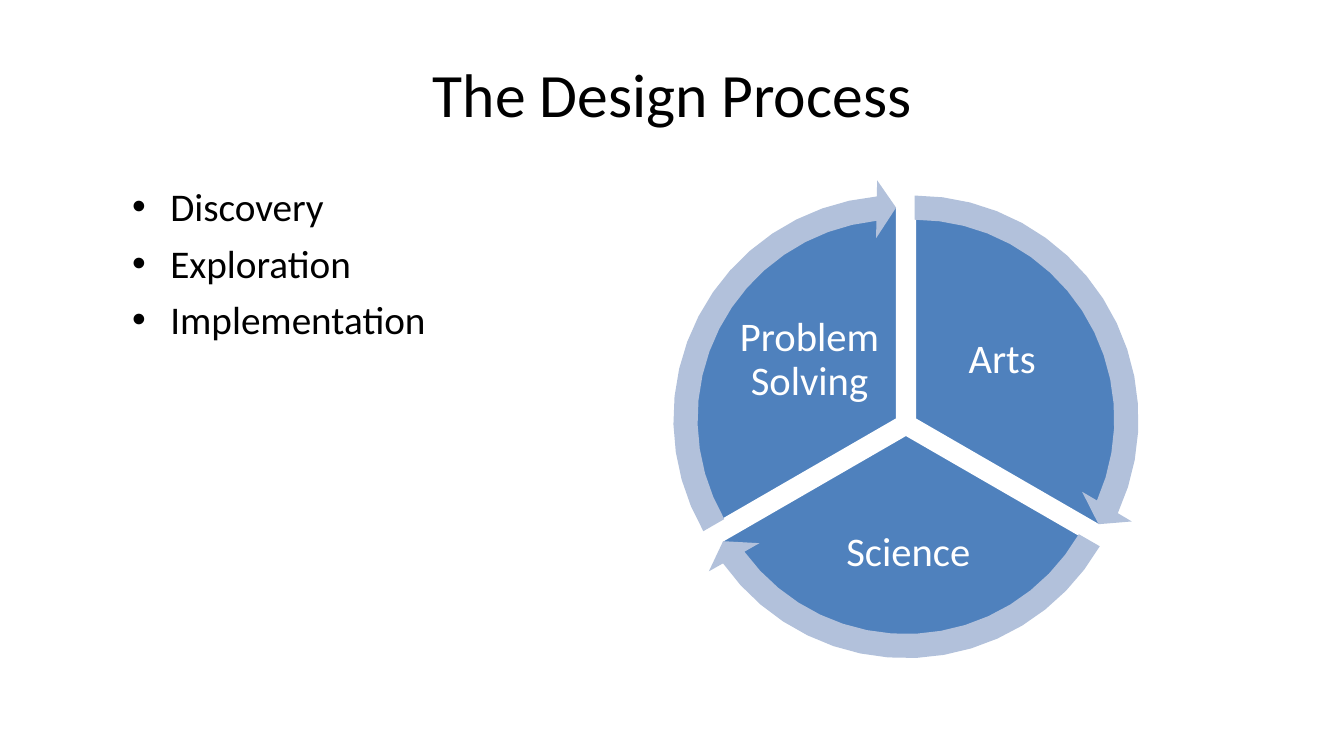
from math import cos, radians, sin

from lxml.etree import SubElement
from pptx import Presentation
from pptx.dml.color import RGBColor
from pptx.enum.text import MSO_ANCHOR, PP_ALIGN as Align
from pptx.oxml.ns import qn
from pptx.util import Inches, Pt


def color(code):
    return RGBColor.from_string(code)


def polar(mid, size, angle):
    turn = radians(angle)
    return mid[0] + size * cos(turn), mid[1] + size * sin(turn)


def arc(mid, size, start, end, steps=16):
    return [polar(mid, size, start + (end - start) * i / steps)
            for i in range(steps + 1)]


class Deck:
    font = "Calibri"
    black, white = "000000", "FFFFFF"
    blue, pale = "4F81BD", "B2C1DB"

    def __init__(self, slide):
        self.slide = slide

    def shape(self, points, fill, edge=None):
        dots = [(Inches(x), Inches(y)) for x, y in points]
        path = self.slide.shapes.build_freeform(*dots[0])
        path.add_line_segments(dots[1:], close=True)
        form = path.convert_to_shape()
        form.shadow.inherit = False
        form.fill.solid()
        form.fill.fore_color.rgb = color(fill)
        if edge:
            form.line.color.rgb = color(edge)
            form.line.width = Pt(2)
        else:
            form.line.fill.background()

    def text(self, box, lines, size, ink, align=Align.CENTER):
        frame = self.slide.shapes.add_textbox(*map(Inches, box)).text_frame
        frame.word_wrap = True
        frame.vertical_anchor = MSO_ANCHOR.TOP
        frame.margin_left = frame.margin_right = 0
        frame.margin_top = frame.margin_bottom = 0
        for i, line in enumerate(lines):
            para = frame.add_paragraph() if i else frame.paragraphs[0]
            para.alignment = align
            run = para.add_run()
            run.text = line
            run.font.name = self.font
            run.font.size = Pt(size)
            run.font.color.rgb = color(ink)
        return frame.paragraphs

    def bullets(self, box, lines, size):
        paras = self.text(box, lines, size, self.black, Align.LEFT)
        for i, para in enumerate(paras):
            if i:
                para.space_before = Pt(6.8)
            props = para._p.get_or_add_pPr()
            props.set("marL", str(Inches(0.38)))
            props.set("indent", str(-Inches(0.38)))
            SubElement(props, qn("a:buFont"), typeface="Arial")
            SubElement(props, qn("a:buChar"), char="•")


def main():
    prs = Presentation()
    prs.slide_width, prs.slide_height = Inches(13.33), Inches(7.5)
    deck = Deck(prs.slides.add_slide(prs.slide_layouts[6]))

    # Sectors, each moved out from the hub
    hub = (8.985, 4.21)
    turns = (0, 120, 240)
    tips = [polar(hub, 0.1, turn - 30) for turn in turns]
    for tip, turn in zip(tips, turns):
        rim = arc(tip, 2.12, turn - 90, turn + 30)
        deck.shape([tip] + rim, deck.blue, deck.white)

    # Curved arrows around the sectors
    for tip, turn in zip(tips, turns):
        head = [polar(tip, size, turn + angle)
                for size, angle in ((2.38, 25.2), (2.1, 29.7), (1.81, 23.4))]
        outer = arc(tip, 2.22, turn - 90, turn + 24.8)
        inner = arc(tip, 1.98, turn + 24, turn - 90)
        deck.shape(outer + head + inner, deck.pale)

    # Title and sector labels
    deck.text((4.07, 0.56, 5.2, 0.73), ["The Design Process"], 44, deck.black)
    deck.text((9.49, 3.3, 0.9, 0.48), ["Arts"], 29, deck.white)
    deck.text((8.26, 5.22, 1.5, 0.48), ["Science"], 29, deck.white)
    label = deck.text((7.23, 3.08, 1.6, 0.93), ["Problem", "Solving"],
                      29, deck.white)
    label[1].line_spacing = Pt(31.8)

    # Steps
    deck.bullets((1.31, 1.81, 3.2, 1.66),
                 ["Discovery", "Exploration", "Implementation"], 28)

    prs.save("out.pptx")


if __name__ == "__main__":
    main()
